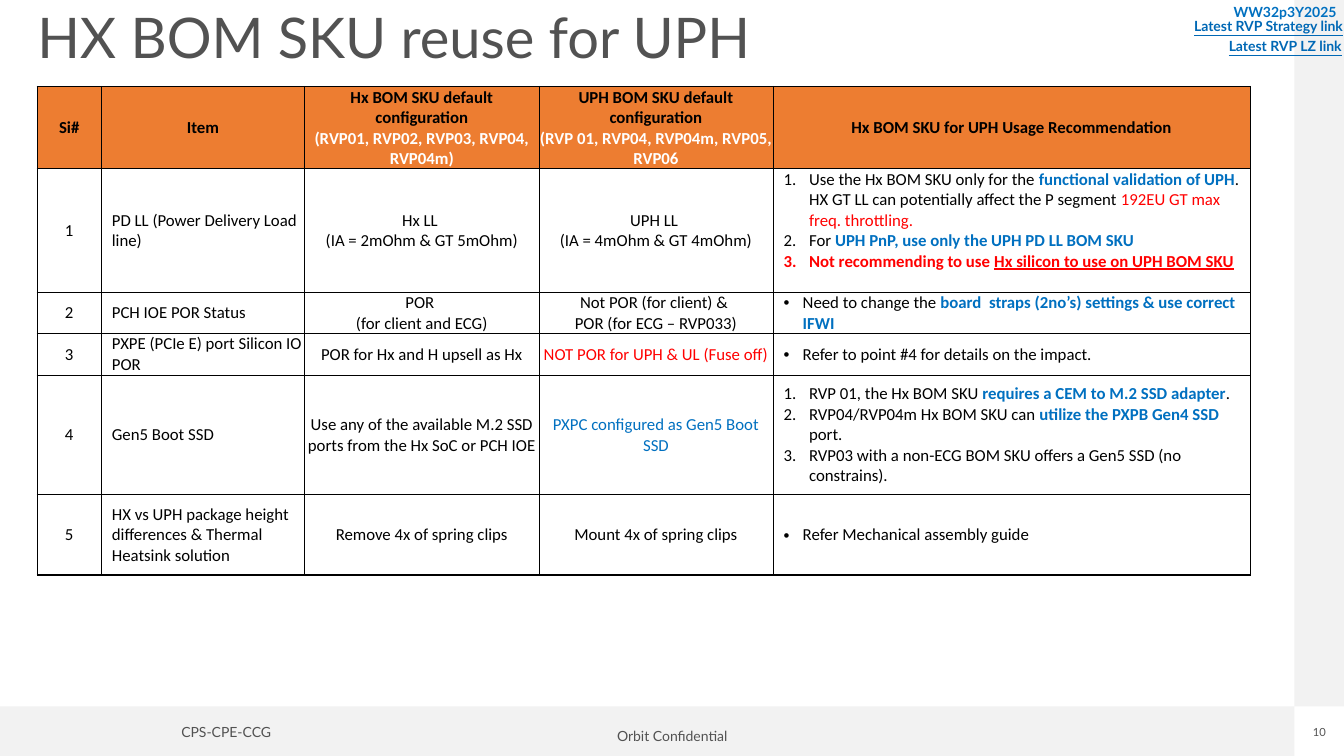
from copy import deepcopy

from lxml.etree import SubElement
from pptx import Presentation
from pptx.dml.color import RGBColor
from pptx.enum.shapes import MSO_SHAPE as Shape
from pptx.enum.text import MSO_ANCHOR as Anchor, PP_ALIGN as Align
from pptx.oxml import parse_xml
from pptx.oxml.ns import nsdecls, qn
from pptx.util import Cm, Pt

BLACK, WHITE, GRAY, PALE = "000000", "FFFFFF", "525252", "F2F2F2"
BLUE, LINK, RED, ORANGE = "0070C0", "0068B5", "FF0000", "ED7D31"

COLUMNS = [1.61, 5.13, 5.9, 5.9, 12.03]
ROWS = [2.06, 3.12, 1.03, 1.05, 3.02, 2.02]

# A text is a list of (words, colour, styles) pieces; "\n" is a line break.
HEADINGS = [
    [("Si#", BLACK, "b")],
    [("Item", BLACK, "b")],
    [("Hx BOM SKU default configuration\n", BLACK, "b"),
     ("(RVP01, RVP02, RVP03, RVP04, RVP04m)", WHITE, "b")],
    [("UPH BOM SKU default configuration\n", BLACK, "b"),
     ("(RVP 01, RVP04, RVP04m, RVP05, RVP06", WHITE, "b")],
    [("Hx BOM SKU for UPH Usage Recommendation", BLACK, "b")],
]

# Item, Hx default, UPH default, colour of the UPH default, recommendations
ITEMS = [
    ("PD LL (Power Delivery Load line)",
     "Hx LL \n(IA = 2mOhm & GT 5mOhm)",
     "UPH LL \n(IA = 4mOhm & GT 4mOhm)", BLACK,
     [[("Use the Hx BOM SKU only for the ", BLACK, ""),
       ("functional validation of UPH", BLUE, "b"),
       (". HX GT LL can potentially affect the P segment ", BLACK, ""),
       ("192EU GT max freq. throttling.", RED, "")],
      [("For ", BLACK, ""),
       ("UPH PnP, use only the UPH PD LL BOM SKU", BLUE, "b")],
      [("Not recommending to use ", RED, "b"),
       ("Hx silicon to use on UPH BOM SKU\n", RED, "bu")]]),
    ("PCH IOE POR Status",
     "POR \n(for client and ECG)",
     "Not POR (for client) & \nPOR (for ECG – RVP033)", BLACK,
     [[("Need to change the ", BLACK, ""),
       ("board  straps (2no’s) settings & use correct IFWI", BLUE, "b")]]),
    ("PXPE (PCIe E) port Silicon IO POR",
     "POR for Hx and H upsell as Hx",
     "NOT POR for UPH & UL (Fuse off)", RED,
     [[("Refer to point #4 for details on the impact.", BLACK, "")]]),
    ("Gen5 Boot SSD",
     "Use any of the available M.2 SSD ports from the Hx SoC or PCH IOE",
     "PXPC configured as Gen5 Boot SSD", BLUE,
     [[("RVP 01, the Hx BOM SKU ", BLACK, ""),
       ("requires a CEM to M.2 SSD adapter", BLUE, "b"),
       (".", BLACK, "")],
      [("RVP04/RVP04m Hx BOM SKU can ", BLACK, ""),
       ("utilize the PXPB Gen4 SSD ", BLUE, "b"),
       ("port.", BLACK, "")],
      [("RVP03 with a non-ECG BOM SKU offers a Gen5 SSD (no constrains).",
        BLACK, "")]]),
    ("HX vs UPH package height differences & Thermal Heatsink solution",
     "Remove 4x of spring clips",
     "Mount 4x of spring clips", BLACK,
     [[("Refer Mechanical assembly guide", BLACK, "")]]),
]


def color(value):
    return RGBColor.from_string(value)


class SlideBuilder:
    heading_font = "Lato"
    table_font = "Calibri"
    table_size = 12

    def __init__(self, slide):
        self.slide = slide

    def style(self, font, name, size, ink, styles=""):
        font.name, font.size = name, Pt(size)
        font.bold, font.underline = "b" in styles, "u" in styles
        font.color.rgb = color(ink)

    def band(self, left, top, width, height):
        shape = self.slide.shapes.add_shape(
            Shape.RECTANGLE, Cm(left), Cm(top), Cm(width), Cm(height))
        shape.shadow.inherit = False
        shape.fill.solid()
        shape.fill.fore_color.rgb = color(PALE)
        shape.line.fill.background()

    def text(self, words, box, size, ink=GRAY, styles="", align=Align.LEFT,
             inset=(0, 0), wrap=True, spacing=0.9):
        shape = self.slide.shapes.add_textbox(*map(Cm, box))
        frame = shape.text_frame
        frame.margin_left = frame.margin_right = Cm(inset[0])
        frame.margin_top = frame.margin_bottom = Cm(inset[1])
        frame.word_wrap = wrap
        frame.text = words
        paragraph = frame.paragraphs[0]
        paragraph.alignment, paragraph.line_spacing = align, spacing
        self.style(paragraph.runs[0].font, self.heading_font, size, ink, styles)

    def bullet(self, paragraph, numbered):
        indent = Cm(0.64 if numbered else 0.48)
        properties = paragraph._p.get_or_add_pPr()
        properties.set("marL", str(indent))
        properties.set("indent", str(-indent))
        if numbered:
            SubElement(properties, qn("a:buFont"), typeface="+mj-lt")
            SubElement(properties, qn("a:buAutoNum"), type="arabicPeriod")
        else:
            SubElement(properties, qn("a:buFont"), typeface="Arial")
            SubElement(properties, qn("a:buChar"), char="•")

    def pieces(self, paragraph, pieces):
        """Add styled runs; each line break takes the size of its run."""
        for words, ink, styles in pieces:
            for index, line in enumerate(words.split("\n")):
                if index:
                    paragraph.add_line_break()
                    paragraph._p[-1].append(deepcopy(run.font._element))
                if line:
                    run = paragraph.add_run()
                    run.text = line
                    self.style(run.font, self.table_font, self.table_size,
                               ink, styles)
        SubElement(paragraph._p, qn("a:endParaRPr"),
                   sz=str(self.table_size * 100))

    def borders(self, cell, widths):
        """Draw black borders; widths are in points: left, right, top, bottom."""
        properties = cell._tc.get_or_add_tcPr()
        for index, (side, width) in enumerate(zip("LRTB", widths)):
            properties.insert(index, parse_xml(
                f'<a:ln{side} {nsdecls("a")} w="{Pt(width)}"><a:solidFill>'
                f'<a:srgbClr val="{BLACK}"/></a:solidFill></a:ln{side}>'))

    def cell(self, cell, paragraphs, align, left_inset, fill=None, bulleted=False):
        cell.vertical_anchor = Anchor.MIDDLE
        cell.margin_left, cell.margin_bottom = Cm(left_inset), 0
        cell.margin_right = cell.margin_top = Cm(0.02)
        if fill:
            cell.fill.solid()
            cell.fill.fore_color.rgb = color(fill)
        else:
            cell.fill.background()
        frame = cell.text_frame
        for index, pieces in enumerate(paragraphs):
            paragraph = frame.add_paragraph() if index else frame.paragraphs[0]
            paragraph.alignment = align
            if bulleted:
                self.bullet(paragraph, len(paragraphs) > 1)
            self.pieces(paragraph, pieces)

    def table(self, left, top):
        table = self.slide.shapes.add_table(
            len(ROWS), len(COLUMNS), Cm(left), Cm(top),
            Cm(sum(COLUMNS)), Cm(sum(ROWS))).table
        table.first_row = table.horz_banding = False
        for column, width in zip(table.columns, COLUMNS):
            column.width = Cm(width)
        for row, height in zip(table.rows, ROWS):
            row.height = Cm(height)

        for column, heading in enumerate(HEADINGS):
            self.cell(table.cell(0, column), [heading], Align.CENTER, 0.02, ORANGE)
        for row, (item, hx, uph, uph_color, advice) in enumerate(ITEMS, 1):
            plain = [(str(row), BLACK), (item, BLACK), (hx, BLACK), (uph, uph_color)]
            for column, (words, ink) in enumerate(plain):
                is_item = column == 1
                self.cell(table.cell(row, column), [[(words, ink, "")]],
                          Align.LEFT if is_item else Align.CENTER,
                          0.27 if is_item else 0.02)
            self.cell(table.cell(row, 4), advice, Align.LEFT, 0.27, bulleted=True)

        last_row, last_column = len(ROWS) - 1, len(COLUMNS) - 1
        for row in range(len(ROWS)):
            for column in range(len(COLUMNS)):
                thick = (column == 0, column == last_column,
                         row <= 1, row in (0, last_row))
                self.borders(table.cell(row, column),
                             [1 if edge else 0.5 for edge in thick])


def main():
    presentation = Presentation()
    presentation.slide_width, presentation.slide_height = Cm(33.87), Cm(19.05)
    builder = SlideBuilder(
        presentation.slides.add_slide(presentation.slide_layouts[6]))
    inset = (0.25, 0.13)

    builder.band(0, 17.8, 32.62, 1.25)
    builder.band(32.62, 0, 1.25, 17.8)
    builder.text("Orbit Confidential", (15.29, 18.24, 3.3, 0.64), 10,
                 align=Align.CENTER, inset=inset, wrap=False)
    builder.text("CPS-CPE-CCG", (4.32, 18.14, 2.9, 0.64), 10,
                 inset=inset, wrap=False)
    builder.text("10", (33.07, 18.29, 0.36, 0.33), 8,
                 align=Align.CENTER, wrap=False, spacing=1)
    builder.text("HX BOM SKU reuse for UPH", (0.94, 0.25, 30.58, 2.64), 40)
    builder.table(0.94, 2.18)
    builder.text("WW32p3Y2025", (29.77, 0.1, 3.91, 0.43), 10, BLUE, "b",
                 Align.RIGHT, spacing=1)
    builder.text("Latest RVP Strategy link", (28.45, 0.36, 5.64, 0.64), 10,
                 LINK, "bu", Align.RIGHT, inset)
    builder.text("Latest RVP LZ link", (30.15, 0.86, 3.91, 0.64), 10,
                 LINK, "bu", Align.RIGHT, inset)
    presentation.save("out.pptx")


if __name__ == "__main__":
    main()
